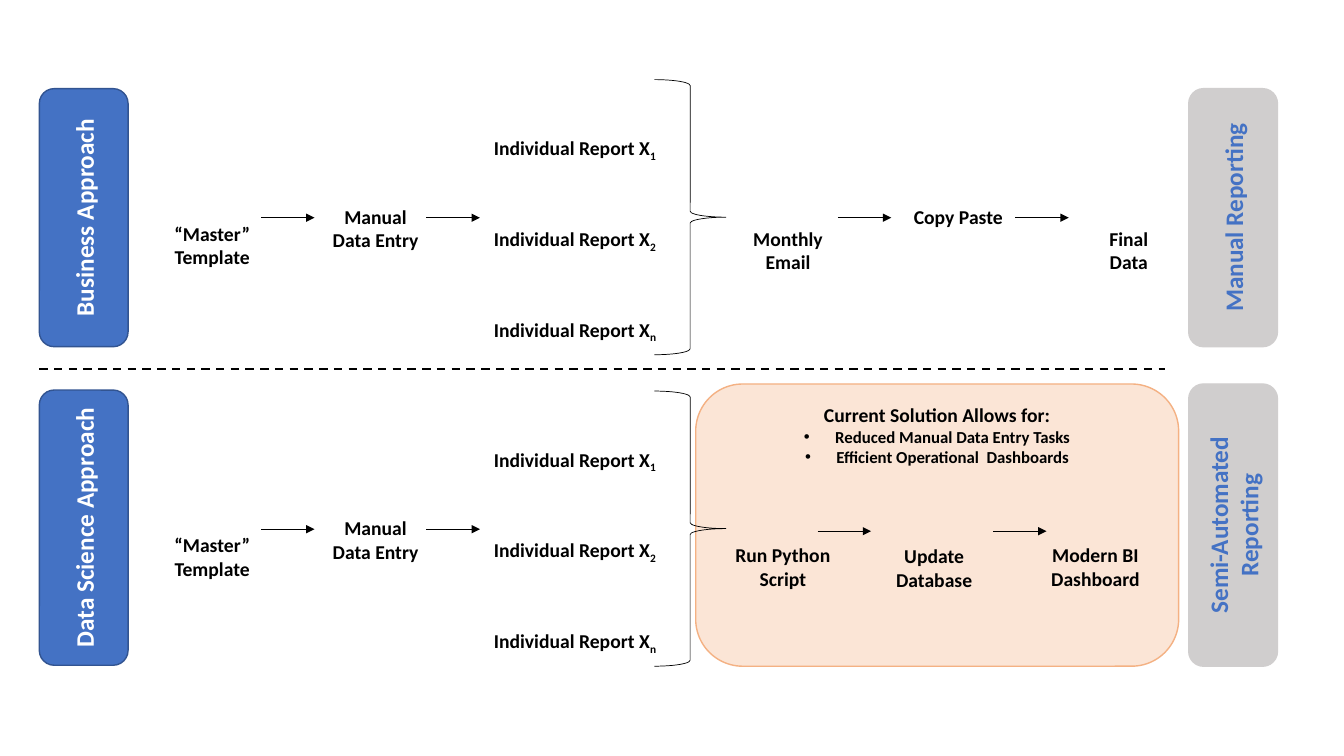
from lxml.etree import SubElement
from pptx import Presentation
from pptx.dml.color import RGBColor
from pptx.enum.dml import MSO_LINE
from pptx.enum.shapes import MSO_CONNECTOR, MSO_SHAPE
from pptx.enum.text import MSO_ANCHOR, PP_ALIGN
from pptx.oxml.ns import qn
from pptx.util import Inches, Pt

BLACK = RGBColor(0x00, 0x00, 0x00)
WHITE = RGBColor(0xFF, 0xFF, 0xFF)
BLUE = RGBColor(0x44, 0x72, 0xC4)
DARK_BLUE = RGBColor(0x32, 0x54, 0x91)
GRAY = RGBColor(0xD0, 0xCE, 0xCE)
PEACH = RGBColor(0xFB, 0xE5, 0xD6)
ORANGE = RGBColor(0xF4, 0xB1, 0x83)

presentation = Presentation()
presentation.slide_width = Inches(13.33)
presentation.slide_height = Inches(7.5)
slide = presentation.slides.add_slide(presentation.slide_layouts[6])


def write_text(shape, text, size=14, color=BLACK, align=PP_ALIGN.CENTER,
               anchor=MSO_ANCHOR.TOP, subscript="", bullets=()):
    frame = shape.text_frame
    frame.word_wrap = True
    frame.vertical_anchor = anchor
    lines = text.split("\n")
    for index, line in enumerate([*lines, *bullets]):
        paragraph = frame.paragraphs[0] if index == 0 else frame.add_paragraph()
        paragraph.alignment = align
        is_bullet = index >= len(lines)
        if is_bullet:
            properties = paragraph._p.get_or_add_pPr()
            properties.set("marL", str(Inches(0.31)))
            properties.set("indent", str(Inches(-0.31)))
            SubElement(properties, qn("a:buFont")).set("typeface", "Arial")
            SubElement(properties, qn("a:buChar")).set("char", "•")
        for part in filter(None, (line, subscript)):
            run = paragraph.add_run()
            run.text = part
            run.font.name = "Calibri"
            run.font.size = Pt(12 if is_bullet else size)
            run.font.bold = True
            run.font.color.rgb = color
        if subscript:
            run._r.get_or_add_rPr().set("baseline", "-25000")


def add_line(left, right, top, width=0.5, arrow=True):
    line = slide.shapes.add_connector(
        MSO_CONNECTOR.STRAIGHT, Inches(left), Inches(top), Inches(right), Inches(top))
    line.line.color.rgb = BLACK
    line.line.width = Pt(width)
    if arrow:
        SubElement(line.line._get_or_add_ln(), qn("a:tailEnd")).set("type", "triangle")
    SubElement(line._element.spPr, qn("a:effectLst"))
    return line


solution = slide.shapes.add_shape(
    MSO_SHAPE.ROUNDED_RECTANGLE, Inches(6.9), Inches(3.81), Inches(4.79), Inches(2.8))
solution.shadow.inherit = False
solution.fill.solid()
solution.fill.fore_color.rgb = PEACH
solution.line.color.rgb = ORANGE
solution.line.width = Pt(1)
write_text(solution, "Current Solution Allows for:",
           bullets=("Reduced Manual Data Entry Tasks", "Efficient Operational  Dashboards"))

banners = [
    ("Business Approach", 0.39, 0.88, 2.56, BLUE, DARK_BLUE, WHITE),
    ("Data Science Approach", 0.39, 3.87, 2.73, BLUE, DARK_BLUE, WHITE),
    ("Manual Reporting", 11.79, 0.88, 2.56, GRAY, GRAY, BLUE),
    ("Semi-Automated Reporting", 11.79, 3.81, 2.8, GRAY, GRAY, BLUE),
]
for text, left, top, height, fill, outline, color in banners:
    banner = slide.shapes.add_shape(
        MSO_SHAPE.ROUNDED_RECTANGLE, Inches(left), Inches(top), Inches(0.88), Inches(height))
    banner.shadow.inherit = False
    banner.fill.solid()
    banner.fill.fore_color.rgb = fill
    banner.line.color.rgb = outline
    banner.line.width = Pt(1)
    write_text(banner, text, size=18, color=color, anchor=MSO_ANCHOR.MIDDLE)
    banner.text_frame._txBody.bodyPr.set("vert", "vert270")

divider = add_line(0.39, 11.55, 3.66, width=1.5, arrow=False)
divider.line.dash_style = MSO_LINE.DASH

steps = [
    ("Monthly\nEmail", 7.32, 2.2, 0.99, 0.57),
    ("Copy Paste", 8.93, 1.98, 1.15, 0.34),
    ("Final\nData", 10.7, 2.2, 0.99, 0.57),
    ("Run Python Script", 7.11, 5.34, 1.31, 0.57),
    ("Update Database", 8.69, 5.35, 1.15, 0.57),
    ("Modern BI\nDashboard", 10.21, 5.34, 1.31, 0.57),
]
arrows = [(8.31, 2.16), (10.07, 2.16), (8.11, 5.27), (9.85, 5.27)]

for offset in (0, 3.09):
    brace = slide.shapes.add_shape(
        MSO_SHAPE.RIGHT_BRACE, Inches(6.49), Inches(0.79 + offset), Inches(0.71), Inches(2.73))
    brace.shadow.inherit = False
    brace.fill.background()
    brace.line.color.rgb = BLACK
    brace.line.width = Pt(0.5)
    for index, subscript in enumerate("12n"):
        report = slide.shapes.add_textbox(
            Inches(4.8), Inches(1.3 + 0.9 * index + offset), Inches(2), Inches(0.34))
        write_text(report, "Individual Report X", align=PP_ALIGN.LEFT, subscript=subscript)
    steps += [
        ("“Master”\nTemplate", 1.61, 2.15 + offset, 0.99, 0.57),
        ("Manual Data Entry", 3.15, 1.98 + offset, 1.15, 0.57),
    ]
    arrows += [(2.59, 2.16 + offset), (4.23, 2.16 + offset)]

for text, left, top, width, height in steps:
    step = slide.shapes.add_textbox(Inches(left), Inches(top), Inches(width), Inches(height))
    write_text(step, text)

for left, top in arrows:
    add_line(left, left + 0.53, top)

presentation.save("out.pptx")
